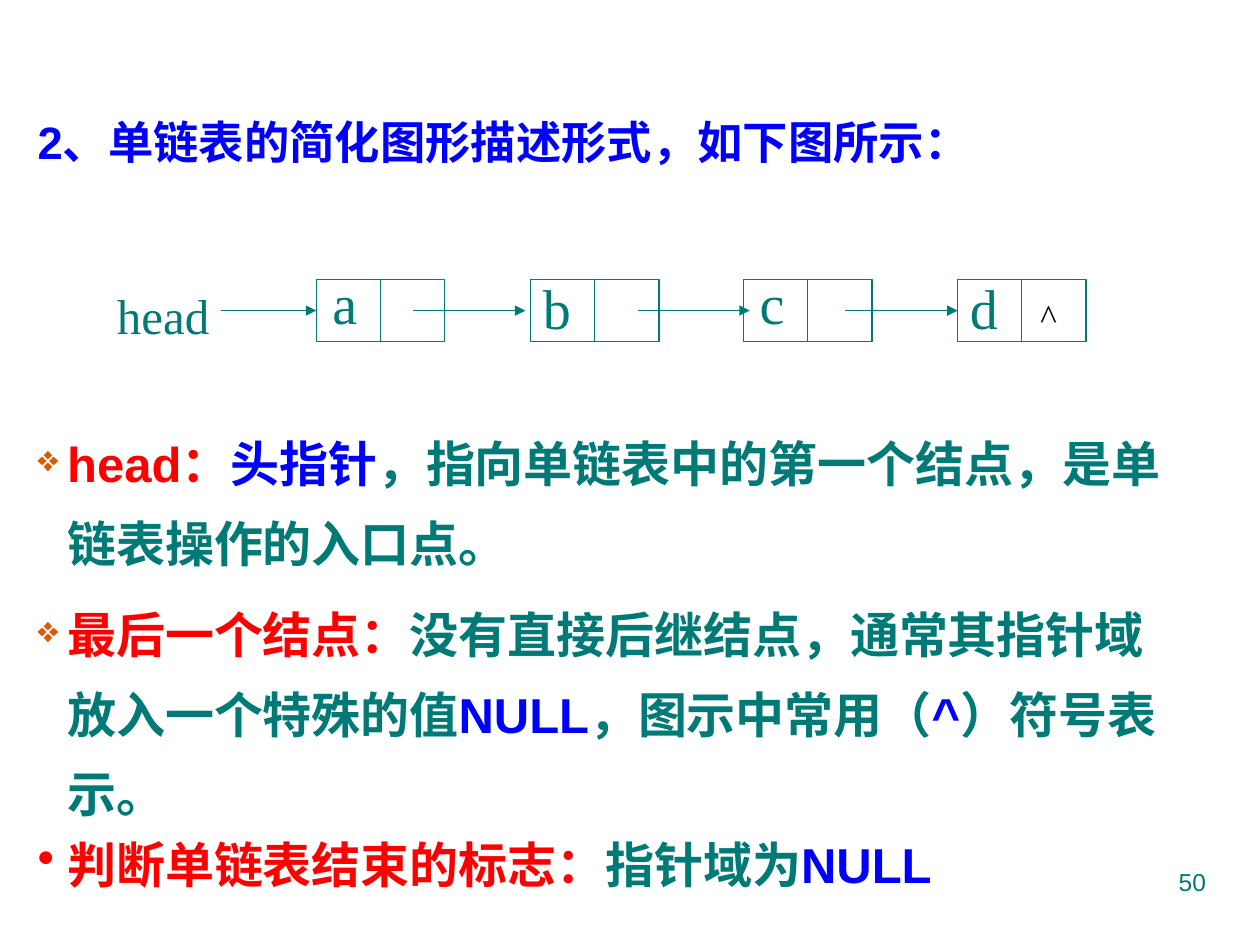
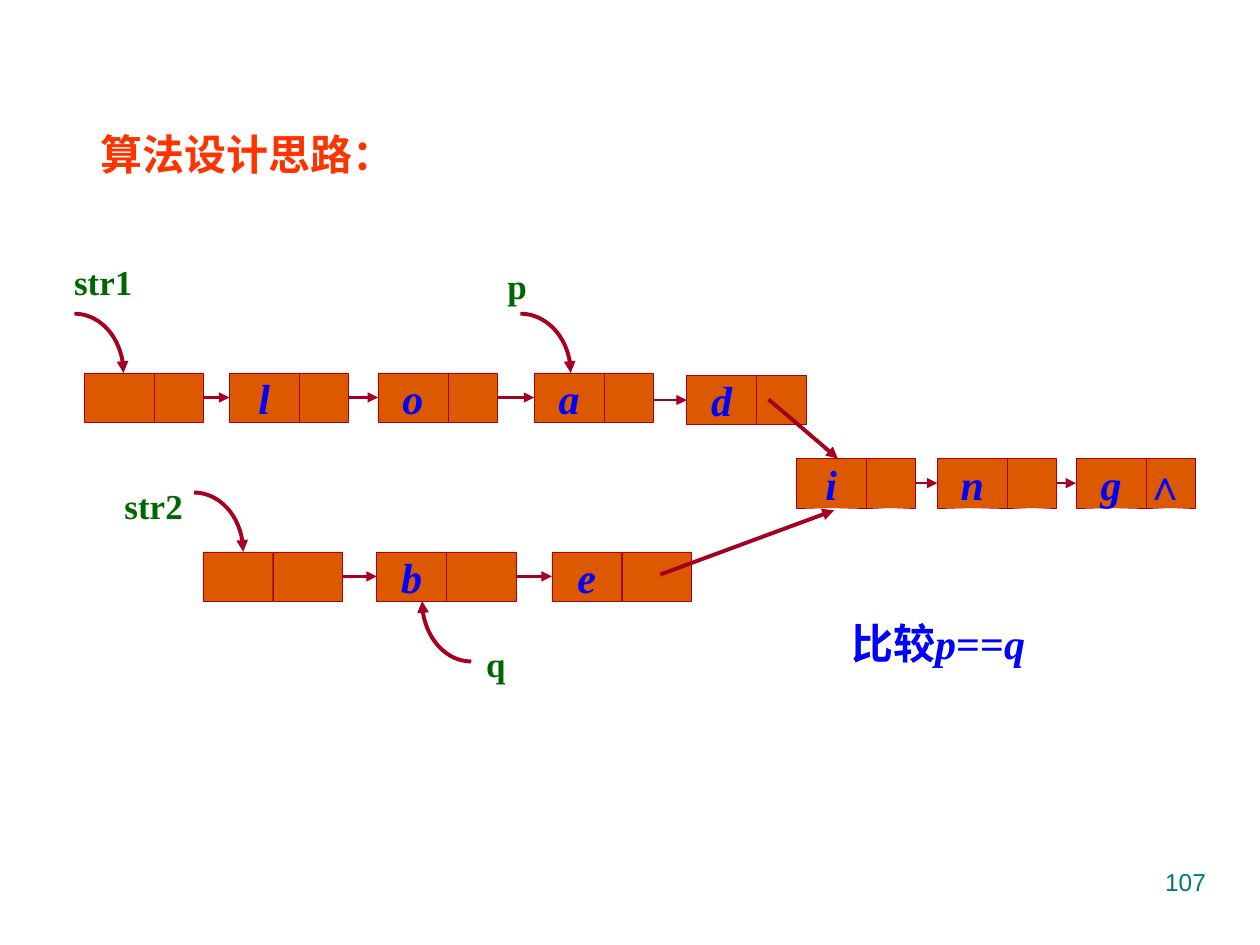
from dataclasses import dataclass
from math import cos, pi, sin
from typing import NamedTuple

from lxml import etree
from pptx import Presentation, util as u
from pptx.dml.color import RGBColor
from pptx.enum import shapes, text
from pptx.oxml import ns

COLUMNS, ROWS = 100, 75
CELL = u.Inches(0.1)

TEAL = RGBColor(0x00, 0x7A, 0x77)
BLUE = RGBColor(0x00, 0x00, 0xFF)
RED = RGBColor(0xFF, 0x00, 0x00)
BLACK = RGBColor(0x00, 0x00, 0x00)
ORANGE = RGBColor(0xDC, 0x59, 0x00)
CRIMSON = RGBColor(0xA5, 0x00, 0x21)
GREEN = RGBColor(0x00, 0x66, 0x00)
VERMILION = RGBColor(0xFF, 0x33, 0x00)

SANS, SERIF = "Arial", "Times New Roman"
LEFT, CENTER, RIGHT = text.PP_ALIGN.LEFT, text.PP_ALIGN.CENTER, text.PP_ALIGN.RIGHT
LEFT_SIDE = 1
HANG = 2.35
DATA_WIDTH, NODE_HEIGHT = 5.55, 3.9
SIMPLE_WIDTH, SIMPLE_HEIGHT = 10.2, 4.9
CURVE_STEPS = 24


class Area(NamedTuple):
    col: float
    row: float
    width: float
    height: float


class Point(NamedTuple):
    col: float
    row: float


@dataclass(frozen=True)
class Words:
    content: str
    color: RGBColor
    size: float
    font: str = SERIF
    bold: bool = False
    italic: bool = False


@dataclass(frozen=True)
class Line:
    words: list[Words]
    align: text.PP_ALIGN = LEFT
    spacing: float = 1.0
    before: float = 0
    bullet: str = ""
    bullet_color: RGBColor = ORANGE
    bullet_percent: int = 100
    tab: float = 0


@dataclass(frozen=True)
class Node:
    label: str
    col: float
    row: float
    pointer_width: float = 3.9
    mark: str = ""
    link_from: float = 0


@dataclass(frozen=True)
class SimpleNode:
    label: str
    col: float
    label_col: float
    label_row: float
    label_width: float = 6.4
    mark: str = ""


@dataclass(frozen=True)
class Pointer:
    name: str
    area: Area
    start: Point
    end: Point


def grid(cells: float) -> int:
    return round(cells * CELL)


def add_xml(parent, tag: str, **attributes: str):
    return etree.SubElement(parent, ns.qn(tag), attributes)


def write(frame, lines: list[Line]) -> None:
    for index, line in enumerate(lines):
        paragraph = frame.paragraphs[0] if index == 0 else frame.add_paragraph()
        props = paragraph._p.get_or_add_pPr()
        if line.bullet:
            props.set("marL", str(grid(HANG)))
            props.set("indent", str(-grid(HANG)))
            add_xml(add_xml(props, "a:buClr"), "a:srgbClr", val=str(line.bullet_color))
            add_xml(props, "a:buSzPct", val=str(line.bullet_percent * 1000))
            add_xml(props, "a:buChar", char=line.bullet)
        if line.tab:
            add_xml(add_xml(props, "a:tabLst"), "a:tab", pos=str(grid(line.tab)), algn="l")
        paragraph.alignment = line.align
        paragraph.line_spacing = line.spacing
        paragraph.space_before = u.Pt(line.before)
        for words in line.words:
            run = paragraph.add_run()
            run.text = words.content
            run.font.name = words.font
            run.font.size = u.Pt(words.size)
            run.font.bold = words.bold
            run.font.italic = words.italic
            run.font.color.rgb = words.color


def add_text(slide, area: Area, lines: list[Line]) -> None:
    frame = slide.shapes.add_textbox(*map(grid, area)).text_frame
    frame.word_wrap = True
    write(frame, lines)


def add_box(slide, area: Area, color: RGBColor, weight: float, fill: RGBColor | None = None):
    box = slide.shapes.add_shape(shapes.MSO_SHAPE.RECTANGLE, *map(grid, area))
    box.shadow.inherit = False
    box.line.color.rgb = color
    box.line.width = u.Pt(weight)
    if fill is None:
        box.fill.background()
    else:
        box.fill.solid()
        box.fill.fore_color.rgb = fill
    return box


def add_arrowhead(stroke) -> None:
    add_xml(stroke.element.spPr.find(ns.qn("a:ln")), "a:tailEnd", type="triangle")


def add_line(slide, start: Point, end: Point, color: RGBColor, weight: float,
             arrow: bool = True, target=None) -> None:
    line = slide.shapes.add_connector(
        shapes.MSO_CONNECTOR.STRAIGHT, *map(grid, (*start, *end)))
    line.line.color.rgb = color
    line.line.width = u.Pt(weight)
    if arrow:
        add_arrowhead(line)
    add_xml(line.element.spPr, "a:effectLst")
    if target is not None:
        line.end_connect(target, LEFT_SIDE)


def add_curve(slide, start: Point, end: Point) -> None:
    angles = [pi / 2 * step / CURVE_STEPS for step in range(CURVE_STEPS + 1)]
    points = [(grid(start.col + (end.col - start.col) * sin(angle)),
               grid(start.row + (end.row - start.row) * (1 - cos(angle))))
              for angle in angles]
    builder = slide.shapes.build_freeform(*points[0], scale=1.0)
    builder.add_line_segments(points[1:], close=False)
    curve = builder.convert_to_shape()
    curve.shadow.inherit = False
    curve.fill.background()
    curve.line.color.rgb = CRIMSON
    curve.line.width = u.Pt(2.25)
    add_arrowhead(curve)


def add_page_number(slide, number: int) -> None:
    add_text(slide, Area(71.7, 68.3, 25, 5.2),
             [Line([Words(str(number), TEAL, 14, SANS)], RIGHT)])


def add_node_part(slide, area: Area, label: str, italic: bool):
    part = add_box(slide, area, CRIMSON, 0.25, ORANGE)
    if label:
        part.text_frame.word_wrap = False
        part.text_frame.vertical_anchor = text.MSO_ANCHOR.MIDDLE
        write(part.text_frame, [Line([Words(label, BLUE, 24, bold=True, italic=italic)], CENTER)])
    return part


def add_node(slide, node: Node) -> None:
    data = add_node_part(
        slide, Area(node.col, node.row, DATA_WIDTH, NODE_HEIGHT), node.label, True)
    add_node_part(
        slide, Area(node.col + DATA_WIDTH, node.row, node.pointer_width, NODE_HEIGHT),
        node.mark, False)
    if node.link_from:
        middle = node.row + NODE_HEIGHT / 2
        add_line(slide, Point(node.link_from, middle), Point(node.col, middle),
                 CRIMSON, 1.5, target=data)


def add_simple_node(slide, node: SimpleNode, top: float):
    words = [Words(node.label, TEAL, 32)]
    if node.mark:
        words = [Words(node.label + "\t", TEAL, 32), Words(node.mark, BLACK, 20)]
    add_text(slide, Area(node.label_col, node.label_row, node.label_width, 7.4),
             [Line(words, spacing=0.96, tab=5.6 if node.mark else 0)])
    box = add_box(slide, Area(node.col, top, SIMPLE_WIDTH, SIMPLE_HEIGHT), TEAL, 0.75)
    divider = node.col + SIMPLE_WIDTH / 2
    add_line(slide, Point(divider, top), Point(divider, top + SIMPLE_HEIGHT),
             TEAL, 0.75, arrow=False)
    return box


def bold_sans(content: str, color: RGBColor, size: float = 28) -> Words:
    return Words(content, color, size, SANS, bold=True)


def build_simplified_list(slide) -> None:
    add_text(slide, Area(2, 8.6, 93.9, 5.3),
             [Line([bold_sans("2、单链表的简化图形描述形式，如下图所示：", BLUE, 25.9)])])
    add_text(slide, Area(8.3, 22.2, 12.5, 7.4), [Line([Words("head", TEAL, 28)])])
    top = 22.2
    nodes = [
        SimpleNode("a", 25.1, 25.4, 21.2),
        SimpleNode("b", 42.1, 42.1, 21.6),
        SimpleNode("c", 59, 59.3, 21.2),
        SimpleNode("d", 76, 76, 21.6, 11.4, "^"),
    ]
    first, _, _, last = [add_simple_node(slide, node, top) for node in nodes]
    middle = top + SIMPLE_HEIGHT / 2
    links = [(17.5, 25.1, first), (32.8, 41.7, None), (50.6, 59.5, None), (67.1, 76, last)]
    for start, end, target in links:
        add_line(slide, Point(start, middle), Point(end, middle), TEAL, 0.75, target=target)
    add_text(slide, Area(2, 32.3, 92.9, 39.1), [
        Line([bold_sans("head：", RED), bold_sans("头指针", BLUE),
              bold_sans("，指向单链表中的第一个结点，是单链表操作的入口点。", TEAL)],
             spacing=1.35, bullet="❖", bullet_percent=75),
        Line([bold_sans("最后一个结点：", RED),
              bold_sans("没有直接后继结点，通常其指针域放入一个特殊的值", TEAL),
              bold_sans("NULL", BLUE), bold_sans("，图示中常用（", TEAL),
              bold_sans("^", BLUE), bold_sans("）符号表示。", TEAL)],
             spacing=1.35, before=7, bullet="❖", bullet_percent=75),
        Line([bold_sans("判断单链表结束的标志：", RED), bold_sans("指针域为", TEAL),
              bold_sans("NULL", BLUE)],
             spacing=1.2, bullet="•", bullet_color=RED),
    ])
    add_page_number(slide, 50)


def build_shared_suffix(slide) -> None:
    str1_row, suffix_row, str2_row = 29.6, 36.4, 43.8
    nodes = [
        Node("", 6.7, str1_row),
        Node("l", 18.2, str1_row, link_from=14.1),
        Node("o", 30, str1_row, link_from=26.1),
        Node("a", 42.4, str1_row, link_from=38.6),
        Node("d", 54.5, str1_row + 0.2, link_from=50.5),
        Node("", 16.1, str2_row, DATA_WIDTH),
        Node("b", 29.9, str2_row, DATA_WIDTH, link_from=23.6),
        Node("e", 43.8, str2_row, DATA_WIDTH, link_from=37.4),
        Node("i", 63.2, suffix_row),
        Node("n", 74.4, suffix_row, link_from=70.6),
        Node("g", 85.4, suffix_row, mark="∧ ", link_from=81.6),
    ]
    for node in reversed(nodes):
        add_node(slide, node)
    for start, end in [(Point(61, 31.7), Point(66.5, suffix_row)),
                       (Point(52.4, 45.6), Point(66.2, 40.5))]:
        add_line(slide, start, end, CRIMSON, 2.25)
    pointers = [
        Pointer("str1", Area(3.5, 20.2, 9.4, 4.3), Point(5.9, 24.9), Point(9.8, str1_row)),
        Pointer("p", Area(39.1, 20.5, 3.9, 4.3), Point(41.3, 24.9), Point(45.3, str1_row)),
        Pointer("str2", Area(7.5, 38, 9.4, 4.3), Point(15.4, 39.1), Point(19.3, str2_row)),
        Pointer("q", Area(37.4, 50.5, 3.9, 4.3), Point(37.4, 52.5),
                Point(33.5, str2_row + NODE_HEIGHT)),
    ]
    for pointer in pointers:
        add_curve(slide, pointer.start, pointer.end)
        add_text(slide, pointer.area,
                 [Line([Words(pointer.name, GREEN, 20, bold=True)], CENTER)])
    add_text(slide, Area(3.5, 9.7, 32.3, 5),
             [Line([Words("算法设计思路：", VERMILION, 24, bold=True)], CENTER)])
    comparison = [("比较", False), ("p", True), ("==", False), ("q", True)]
    add_text(slide, Area(64.2, 48.5, 20.5, 5),
             [Line([Words(part, BLUE, 24, bold=True, italic=italic)
                    for part, italic in comparison], CENTER)])
    add_page_number(slide, 107)


def main() -> None:
    deck = Presentation()
    deck.slide_width, deck.slide_height = grid(COLUMNS), grid(ROWS)
    blank = deck.slide_layouts[6]
    for build in (build_simplified_list, build_shared_suffix):
        build(deck.slides.add_slide(blank))
    deck.save("out.pptx")


if __name__ == "__main__":
    main()
